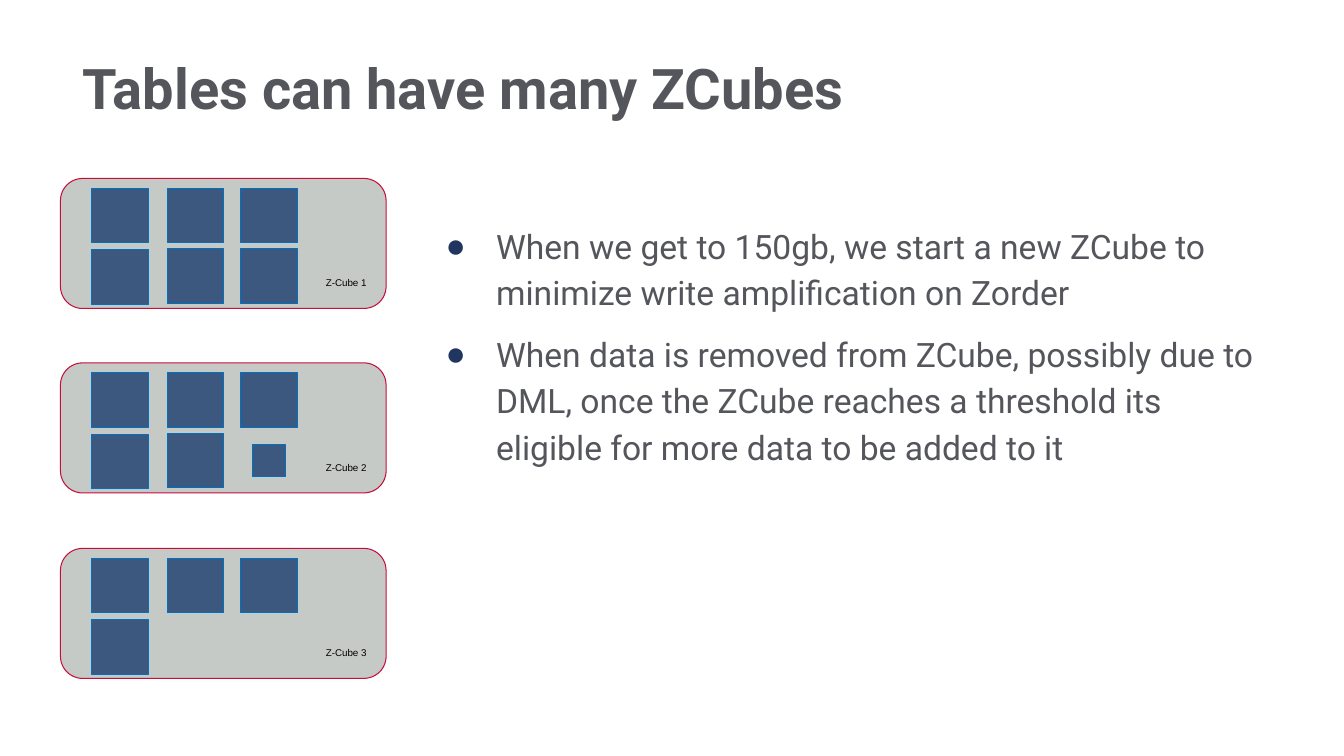
from dataclasses import dataclass

from lxml.etree import SubElement
from pptx import Presentation
from pptx.dml.color import RGBColor
from pptx.enum.shapes import MSO_SHAPE as Shape
from pptx.enum.text import MSO_ANCHOR as Anchor, MSO_AUTO_SIZE as AutoSize, PP_ALIGN as Align
from pptx.oxml.ns import qn
from pptx.util import Inches, Pt


@dataclass(frozen=True)
class Theme:
    heading_font: str = "Roboto"
    label_font: str = "Arial"
    text: str = "54565B"
    label: str = "000000"
    bullet: str = "203661"
    cube_fill: str = "C6CAC6"
    cube_line: str = "C50E3C"
    file_fill: str = "3C587F"
    file_line: str = "0070C0"
    title_size: int = 40
    body_size: int = 24
    label_size: int = 7


class SlideBuilder:
    def __init__(self, slide, theme):
        self.slide = slide
        self.theme = theme

    def place(self, shape, left, top, width, height):
        shape.left, shape.top = Inches(left), Inches(top)
        shape.width, shape.height = Inches(width), Inches(height)

    def frame(self, shape, anchor, inset=0):
        text_frame = shape.text_frame
        text_frame.word_wrap = True
        text_frame.auto_size = AutoSize.NONE
        text_frame.vertical_anchor = anchor
        text_frame.margin_left = text_frame.margin_right = Inches(inset)
        text_frame.margin_top = text_frame.margin_bottom = Inches(inset)
        return text_frame

    def run(self, paragraph, text, font_name, size, color, bold=False):
        run = paragraph.add_run()
        run.text = text
        run.font.name = font_name
        run.font.size = Pt(size)
        run.font.bold = bold
        run.font.color.rgb = RGBColor.from_string(color)

    def title(self, text, *box):
        shape = self.slide.shapes.title
        self.place(shape, *box)
        paragraph = self.frame(shape, Anchor.MIDDLE).paragraphs[0]
        paragraph.alignment = Align.LEFT
        paragraph.line_spacing = 0.9
        self.run(paragraph, text, self.theme.heading_font, self.theme.title_size,
                 self.theme.text, bold=True)

    def bullets(self, items, *box):
        shape = self.slide.placeholders[1]
        self.place(shape, *box)
        text_frame = self.frame(shape, Anchor.TOP)
        for index, item in enumerate(items):
            paragraph = text_frame.add_paragraph() if index else text_frame.paragraphs[0]
            self.bullet_mark(paragraph)
            paragraph.alignment = Align.LEFT
            paragraph.line_spacing = 1.15
            paragraph.space_before = Pt(11 if index else 0)
            self.run(paragraph, item, self.theme.heading_font, self.theme.body_size,
                     self.theme.text)

    def bullet_mark(self, paragraph):
        properties = paragraph._p.get_or_add_pPr()
        properties.set("marL", str(Inches(0.67)))
        properties.set("indent", str(Inches(-0.5)))
        color = SubElement(properties, qn("a:buClr"))
        SubElement(color, qn("a:srgbClr"), val=self.theme.bullet)
        SubElement(properties, qn("a:buFont"), typeface=self.theme.label_font)
        SubElement(properties, qn("a:buChar"), char="●")

    def box(self, kind, fill, line, left, top, width, height):
        shape = self.slide.shapes.add_shape(
            kind, Inches(left), Inches(top), Inches(width), Inches(height))
        shape.shadow.inherit = False
        shape.fill.solid()
        shape.fill.fore_color.rgb = RGBColor.from_string(fill)
        shape.line.color.rgb = RGBColor.from_string(line)
        shape.line.width = Pt(0.75)
        return shape

    def data_file(self, *box):
        self.box(Shape.RECTANGLE, self.theme.file_fill, self.theme.file_line, *box)

    def z_cube(self, label, *box):
        shape = self.box(Shape.ROUNDED_RECTANGLE, self.theme.cube_fill,
                         self.theme.cube_line, *box)
        shape.adjustments[0] = 0.17
        paragraph = self.frame(shape, Anchor.BOTTOM, inset=0.13).paragraphs[0]
        paragraph.alignment = Align.RIGHT
        self.run(paragraph, label, self.theme.label_font, self.theme.label_size,
                 self.theme.label)


CUBE_TOPS = (1.77, 3.6, 5.44)
FULL_FILES_BELOW = (3, 2, 1)  # full-size files in the second row of each cube
FILE_LEFTS = (0.91, 1.66, 2.39)
FILE_DROPS = (0.71, 0.7, 0.7)


def main():
    presentation = Presentation()
    presentation.slide_width = Inches(13.33)
    presentation.slide_height = Inches(7.5)
    slide = presentation.slides.add_slide(presentation.slide_layouts[1])
    builder = SlideBuilder(slide, Theme())

    builder.title("Tables can have many ZCubes", 0.82, 0.59, 11.66, 0.64)
    builder.bullets([
        "When we get to 150gb, we start a new ZCube to minimize write "
        "amplification on Zorder",
        "When data is removed from ZCube, possibly due to DML, once the ZCube "
        "reaches a threshold its eligible for more data to be added to it",
    ], 4.25, 2.18, 8.24, 4.54)

    for number, (top, below) in enumerate(zip(CUBE_TOPS, FULL_FILES_BELOW), start=1):
        builder.z_cube(f"Z-Cube {number}", 0.6, top, 3.23, 1.29)
        for left in FILE_LEFTS:
            builder.data_file(left, top + 0.1, 0.56, 0.54)
        for left, drop in zip(FILE_LEFTS[:below], FILE_DROPS):
            builder.data_file(left, top + drop, 0.56, 0.54)
    builder.data_file(2.5, CUBE_TOPS[1] + 0.81, 0.33, 0.32)

    presentation.save("out.pptx")


if __name__ == "__main__":
    main()
